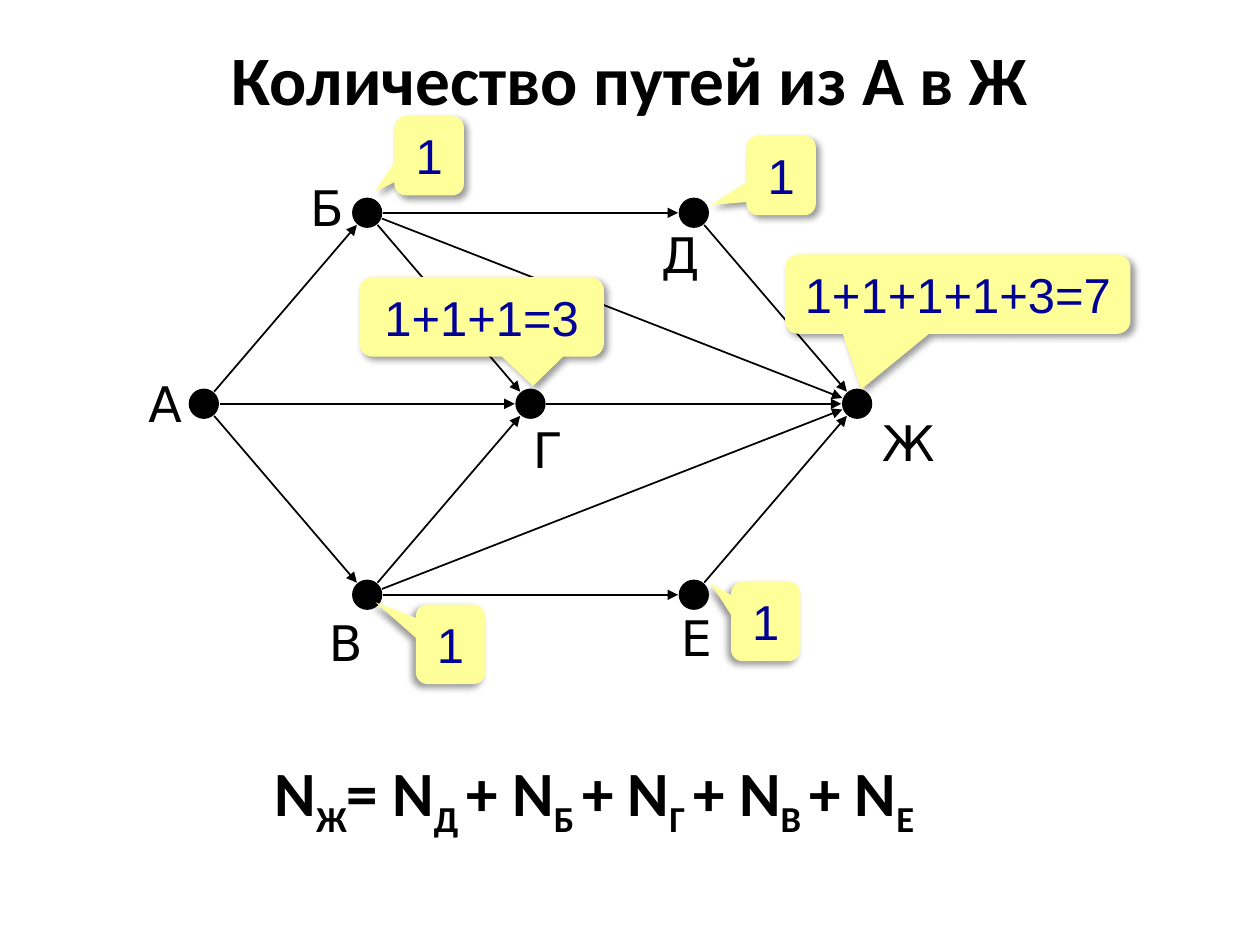
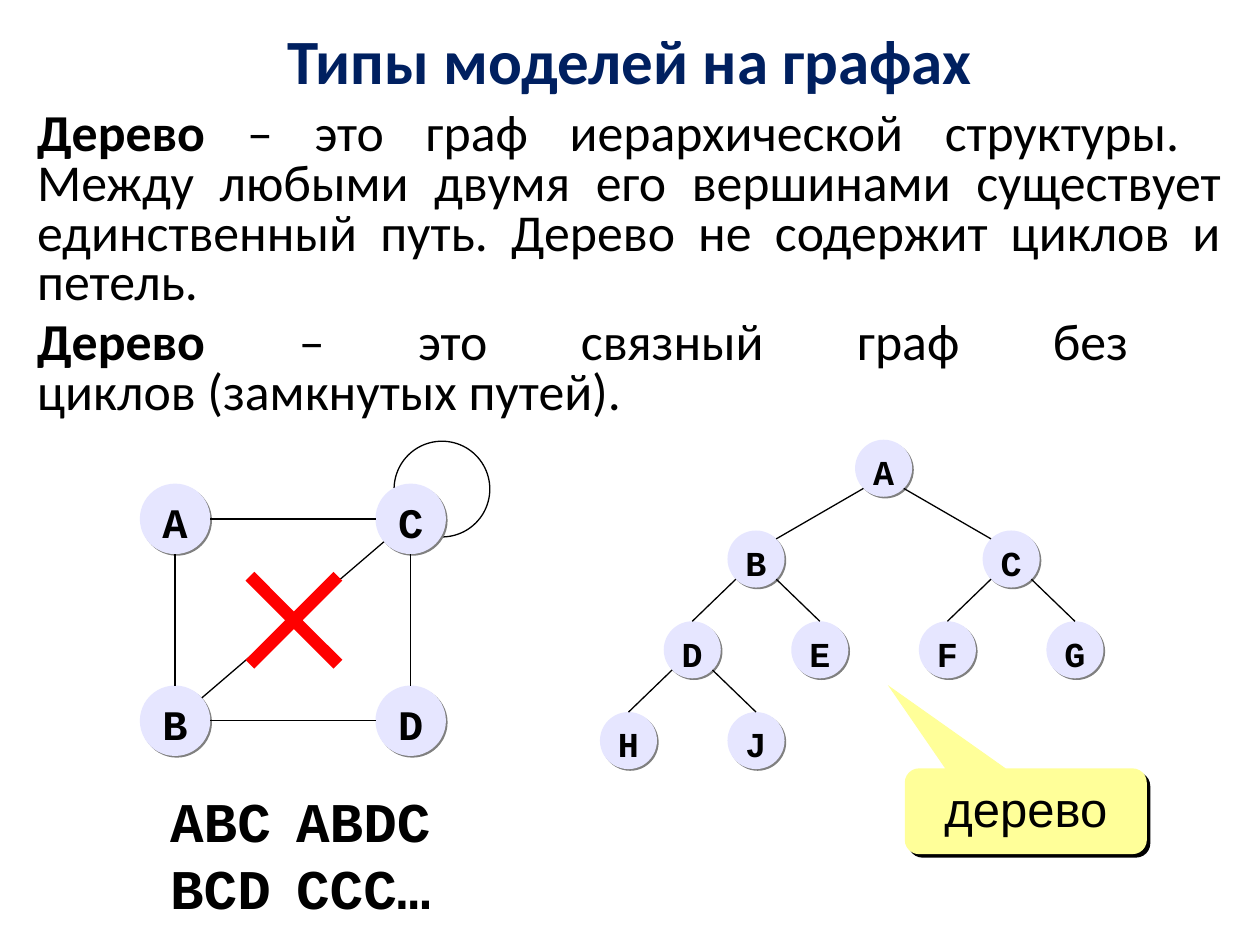
import math
from dataclasses import dataclass

from lxml import etree
from pptx import Presentation
from pptx.dml.color import RGBColor
from pptx.enum.shapes import MSO_CONNECTOR, MSO_SHAPE
from pptx.enum.text import MSO_ANCHOR, PP_ALIGN
from pptx.oxml.ns import qn
from pptx.util import Cm, Pt

LEFT, CENTER, JUSTIFY = PP_ALIGN.LEFT, PP_ALIGN.CENTER, PP_ALIGN.JUSTIFY
TOP, MIDDLE = MSO_ANCHOR.TOP, MSO_ANCHOR.MIDDLE
OVAL, CROSS = MSO_SHAPE.OVAL, MSO_SHAPE.CROSS
CALLOUT = MSO_SHAPE.ROUNDED_RECTANGULAR_CALLOUT
STRAIGHT = MSO_CONNECTOR.STRAIGHT


@dataclass(frozen=True)
class Style:
    font: str
    size: float
    colour: str = "000000"
    bold: bool = False


@dataclass(frozen=True)
class Shadow:
    colour: str
    alpha: int
    blur: float
    distance: float
    angle: int = 45


@dataclass(frozen=True)
class Theme:
    black: str = "000000"
    note: str = "FFFF99"
    vertex: str = "E6E6FF"
    cross: str = "FF0000"
    path_title: Style = Style("Calibri", 39.6, bold=True)
    tree_title: Style = Style("Calibri", 36, "002060", True)
    formula: Style = Style("Calibri", 36, bold=True)
    body: Style = Style("Calibri", 29.6)
    term: Style = Style("Calibri", 29.6, bold=True)
    label: Style = Style("DejaVu Sans", 28)
    count: Style = Style("Arial", 28, "000099")
    caption: Style = Style("Arial", 28)
    big_vertex: Style = Style("Courier New", 24, bold=True)
    small_vertex: Style = Style("Courier New", 20, bold=True)
    cycles: Style = Style("Courier New", 32, bold=True)
    arrow_width: float = 1
    edge_width: float = 0.75


@dataclass(frozen=True)
class Box:
    """A rectangle in centimetres."""
    left: float
    top: float
    width: float
    height: float

    def lengths(self):
        return Cm(self.left), Cm(self.top), Cm(self.width), Cm(self.height)


THEME = Theme()
VERTEX_SHADOW = Shadow("808080", 100, 0, 1.4)
CAPTION_SHADOW = Shadow("000000", 100, 0, 2.8)

# name: column, row, label offset from the centre
PATH_NODES = {
    "А": (0, 1, (-1.37, -0.74)),
    "Б": (1, 0, (-1.4, -0.84)),
    "Г": (2, 1, (-0.2, 0.18)),
    "Д": (3, 0, (-0.91, 0.1)),
    "Ж": (4, 1, (0.25, 0.05)),
    "В": (1, 2, (-1.02, 0.23)),
    "Е": (3, 2, (-0.51, 0.13)),
}
PATH_EDGES = ["АГ", "ГЖ", "АБ", "ЕЖ", "АВ", "БГ", "ДЖ", "ВГ", "БД", "ВЕ", "БЖ", "ВЖ"]
# node, text, offset from the centre, width, pointer, shadow angle
PATH_COUNTS = [
    ("Б", "1", (0.55, -1.95), 1.4, (-0.78, 0.45), 45),
    ("В", "1", (0.98, 0.2), 1.4, (-1.08, -0.53), 135),
    ("Д", "1", (1.06, -1.55), 1.4, (-1.01, 0.37), 45),
    ("Г", "1+1+1=3", (-3.45, -2.55), 4.93, (0.21, 0.87), 45),
    ("Е", "1", (0.75, -0.26), 1.4, (-0.79, -0.48), 135),
    ("Ж", "1+1+1+1+3=7", (-1.45, -3.01), 6.96, (-0.28, 1.2), 45),
]
CYCLE_NODES = {"A": (0, 0), "B": (0, 1), "C": (1, 0), "D": (1, 1)}
CYCLE_EDGES = ["BD", "AB", "AC", "CD", "BC"]
TREE_NODES = {
    "A": (4, 0), "B": (2, 1), "C": (6, 1), "D": (1, 2), "E": (3, 2),
    "F": (5, 2), "G": (7, 2), "H": (0, 3), "J": (2, 3),
}
TREE_EDGES = ["AB", "AC", "BD", "BE", "DH", "DJ", "CF", "CG"]


def add_span(para, text, style, subscript=False):
    span = para.add_run()
    span.text = text
    span.font.name, span.font.size = style.font, Pt(style.size)
    span.font.bold = style.bold
    span.font.color.rgb = RGBColor.from_string(style.colour)
    if subscript:
        span.font._element.set("baseline", "-25000")


def set_frame(shape, align=CENTER, anchor=TOP, insets=(0.25, 0.13, 0.25, 0.13)):
    """Set up the text frame and return its first paragraph."""
    frame = shape.text_frame
    frame.word_wrap = True
    frame.vertical_anchor = anchor
    (frame.margin_left, frame.margin_top,
     frame.margin_right, frame.margin_bottom) = map(Cm, insets)
    para = frame.paragraphs[0]
    para.alignment = align
    return para


def add_text(page, box, text, style, anchor=TOP):
    shape = page.shapes.add_textbox(*box.lengths())
    add_span(set_frame(shape, anchor=anchor), text, style)


def add_preset(page, kind, box, fill=None, outline=None, shadow=None):
    shape = page.shapes.add_shape(kind, *box.lengths())
    shape.shadow.inherit = False
    if fill:
        shape.fill.solid()
        shape.fill.fore_color.rgb = RGBColor.from_string(fill)
    else:
        shape.fill.background()
    if outline:
        shape.line.color.rgb = RGBColor.from_string(outline)
        shape.line.width = Pt(THEME.edge_width)
    else:
        shape.line.fill.background()
    if shadow:
        effects = shape._element.spPr.find(qn("a:effectLst"))
        outer = etree.SubElement(
            effects, qn("a:outerShdw"), blurRad=str(Pt(shadow.blur)),
            dist=str(Pt(shadow.distance)), dir=str(shadow.angle * 60000),
            algn="tl", rotWithShape="0")
        colour = etree.SubElement(outer, qn("a:srgbClr"), val=shadow.colour)
        etree.SubElement(colour, qn("a:alpha"), val=str(shadow.alpha * 1000))
    return shape


def add_disc(page, centre, diameter, fill=None, outline=None, shadow=None):
    x, y = centre
    box = Box(x - diameter / 2, y - diameter / 2, diameter, diameter)
    return add_preset(page, OVAL, box, fill, outline, shadow)


def add_vertex(page, name, centre, diameter, style):
    disc = add_disc(page, centre, diameter, THEME.vertex, shadow=VERTEX_SHADOW)
    add_span(set_frame(disc, insets=(0, 0.05, 0, 0)), name, style)


def add_callout(page, box, text, style, pointer, shadow):
    note = add_preset(page, CALLOUT, box, THEME.note, shadow=shadow)
    note.adjustments[0], note.adjustments[1] = pointer
    add_span(set_frame(note), text, style)


def add_line(page, start, end, width, arrow=False):
    line = page.shapes.add_connector(STRAIGHT, *map(Cm, (*start, *end)))
    line.line.color.rgb = RGBColor.from_string(THEME.black)
    line.line.width = Pt(width)
    if arrow:
        etree.SubElement(line.line._get_or_add_ln(), qn("a:tailEnd"), type="triangle")
    etree.SubElement(line._element.spPr, qn("a:effectLst"))


def step_towards(start, end, gap):
    """Return the point that lies gap away from start on the way to end."""
    share = gap / math.dist(start, end)
    return tuple(a + (b - a) * share for a, b in zip(start, end))


def add_edge(page, start, end, gap, width, arrow=False):
    add_line(page, step_towards(start, end, gap), step_towards(end, start, gap),
             width, arrow)


def draw_path_graph(page, box):
    centres = {name: (box.left + column * box.width / 4, box.top + row * box.height / 2)
               for name, (column, row, _) in PATH_NODES.items()}
    for centre in centres.values():
        add_disc(page, centre, 0.61, THEME.black)
    for name, (_, _, (dx, dy)) in PATH_NODES.items():
        x, y = centres[name]
        add_text(page, Box(x + dx, y + dy, 0.86, 1.6), name, THEME.label)
    for start, end in PATH_EDGES:
        add_edge(page, centres[start], centres[end], 0.32, THEME.arrow_width, True)
    for name, text, (dx, dy), width, pointer, angle in PATH_COUNTS:
        x, y = centres[name]
        add_callout(page, Box(x + dx, y + dy, width, 1.6), text, THEME.count,
                    pointer, Shadow(THEME.black, 40, 4, 3, angle))


def draw_formula(page, box):
    para = set_frame(page.shapes.add_textbox(*box.lengths()))
    add_span(para, "N", THEME.formula)
    add_span(para, "Ж", THEME.formula, True)
    for number, node in enumerate("ДБГВЕ"):
        add_span(para, "+ N" if number else "= N", THEME.formula)
        add_span(para, node + " ", THEME.formula, True)


def draw_definitions(page, box):
    frame = page.shapes.add_textbox(*box.lengths()).text_frame
    definitions = [
        (" – это граф иерархической структуры. ",
         "Между любыми двумя его вершинами существует единственный путь. "
         "Дерево не содержит циклов и петель."),
        (" – это связный граф без ", "циклов (замкнутых путей)."),
    ]
    para = set_frame(page.shapes[-1], JUSTIFY)
    for number, (opening, rest) in enumerate(definitions):
        if number:
            para = frame.add_paragraph()
            para.alignment = JUSTIFY
            para.space_before = Pt(5.9)
        para.line_spacing = 0.8
        add_span(para, "Дерево", THEME.term)
        add_span(para, opening, THEME.body)
        para.add_line_break()
        add_span(para, rest, THEME.body)


def draw_cycle_graph(page, box):
    """Draw the crossed-out graph; the box runs through the vertex centres."""
    diameter = 1.42
    centres = {name: (box.left + column * box.width, box.top + row * box.height)
               for name, (column, row) in CYCLE_NODES.items()}
    x, y = centres["C"]
    add_disc(page, (x + 0.63, y - 0.6), 1.93, outline=THEME.black)
    for name, centre in centres.items():
        add_vertex(page, name, centre, diameter, THEME.big_vertex)
    for start, end in CYCLE_EDGES:
        add_edge(page, centres[start], centres[end], diameter / 2, THEME.edge_width)


def draw_tree(page, box):
    """Draw the tree; the box runs through the vertex centres."""
    diameter = 1.15
    radius, slant = diameter / 2, diameter / 2 * math.sqrt(0.5)
    centres = {name: (box.left + column * box.width / 7, box.top + level * box.height / 3)
               for name, (column, level) in TREE_NODES.items()}
    for name, centre in centres.items():
        add_vertex(page, name, centre, diameter, THEME.small_vertex)
    for parent, child in TREE_EDGES:
        (px, py), (cx, cy) = centres[parent], centres[child]
        side = math.copysign(slant, cx - px)
        end = (cx - side, cy - slant) if parent == "A" else (cx, cy - radius)
        add_line(page, (px + side, py + slant), end, THEME.edge_width)


def draw_cross(page, box):
    cross = add_preset(page, CROSS, box, THEME.cross)
    cross.adjustments[0] = 0.45
    cross.rotation = 45


def draw_cycle_list(page, box):
    shape = page.shapes.add_textbox(*box.lengths())
    para = set_frame(shape, LEFT)
    add_span(para, "ABC\tABDC", THEME.cycles)
    para = shape.text_frame.add_paragraph()
    add_span(para, "BCD\tCCC…", THEME.cycles)


def build_path_page(page):
    add_text(page, Box(1.27, 0.76, 22.86, 1.63), "Количество путей из А в Ж",
             THEME.path_title, MIDDLE)
    draw_path_graph(page, Box(4.11, 4.29, 13.17, 7.7))
    draw_formula(page, Box(1.35, 15.06, 21.44, 1.8))


def build_tree_page(page):
    add_text(page, Box(1.27, 0.25, 22.86, 1.88), "Типы моделей на графах",
             THEME.tree_title, MIDDLE)
    draw_definitions(page, Box(0.5, 2.13, 24.4, 7.09))
    draw_cycle_graph(page, Box(3.53, 10.46, 4.75, 4.07))
    draw_tree(page, Box(12.67, 9.44, 9, 5.49))
    add_callout(page, Box(18.24, 15.49, 4.88, 1.73), "дерево", THEME.caption,
                (-0.57, -1.47), CAPTION_SHADOW)
    draw_cross(page, Box(4.67, 11.25, 2.51, 2.51))
    draw_cycle_list(page, Box(3.18, 15.72, 6.78, 3))


def main():
    deck = Presentation()
    deck.slide_width, deck.slide_height = Cm(25.4), Cm(19.05)
    blank = deck.slide_layouts[6]
    for build in (build_path_page, build_tree_page):
        build(deck.slides.add_slide(blank))
    deck.save("out.pptx")


if __name__ == "__main__":
    main()
